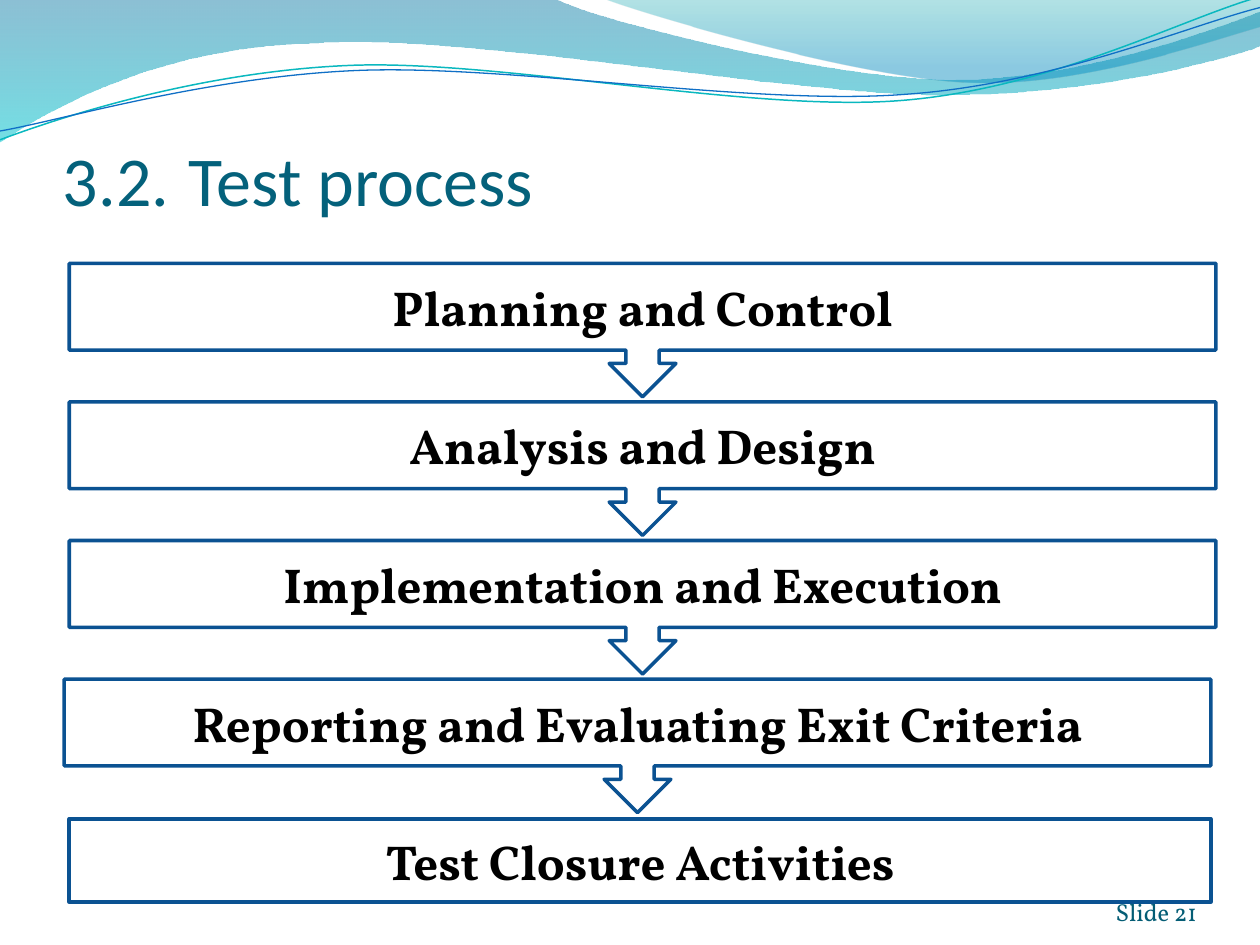
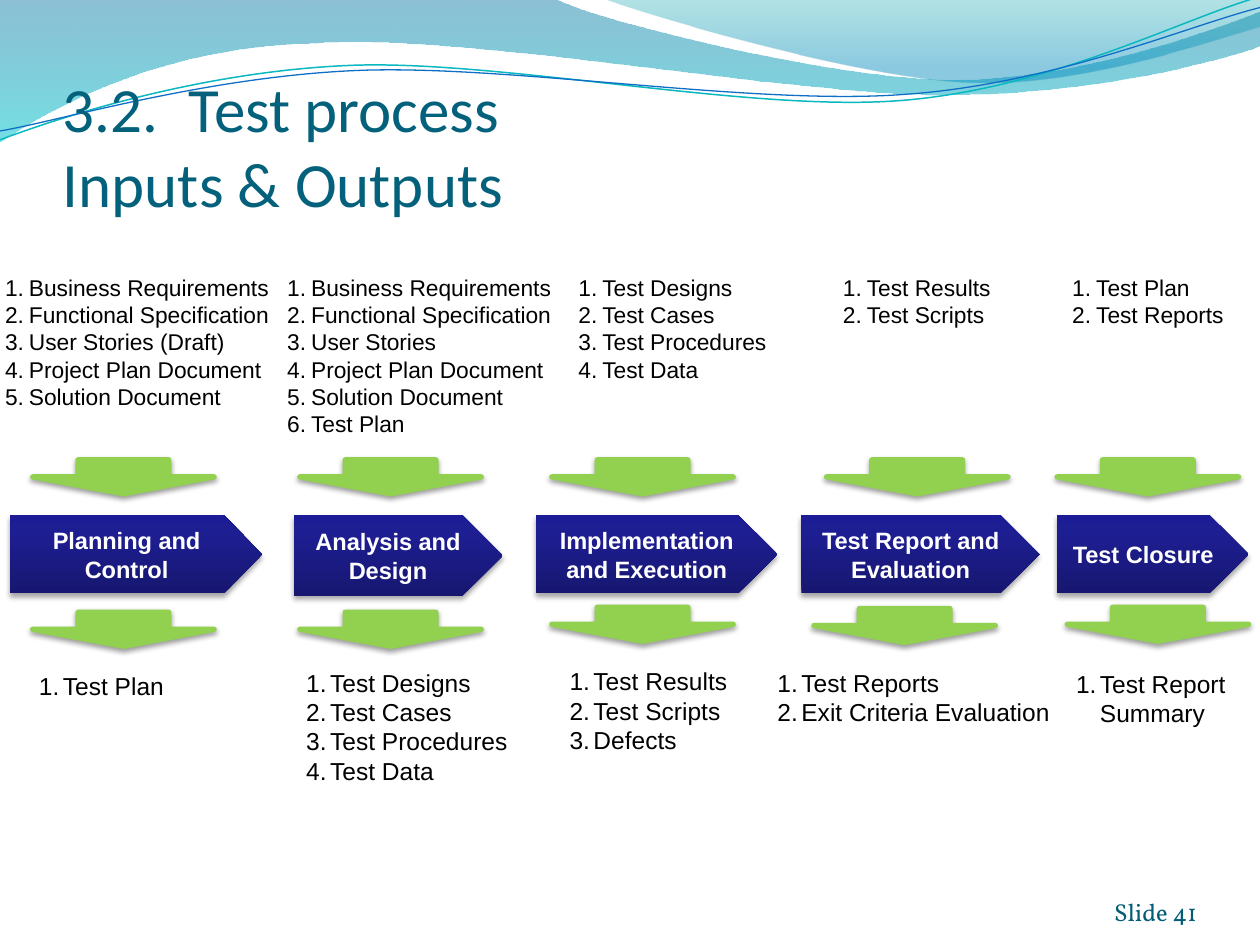
from lxml import etree
from pptx import Presentation
from pptx.dml.color import RGBColor
from pptx.enum import shapes, text
from pptx.oxml.ns import qn
from pptx.util import Inches, Pt

COLORS = {
    "title": "04617B", "footer": "045D75", "outline": "0B5292",
    "black": "000000", "white": "FFFFFF", "arrow": "92D050",
    "aqua line": "0AB8BF", "blue line": "0F6FC6",
}
# Gradient stops: position, colour, opacity (all in percent)
LEFT_WAVE = [(0, "0074A1", 45), (100, "00C6CF", 55)]
RIGHT_WAVE = [(0, "00A1A9", 30), (80, "008BBF", 45)]
NAVY = [(0, "171771", 100), (80, "1E1E93", 100), (100, "1C1C96", 100)]

TITLE = {"name": "Calibri", "color": "title"}
FOOTER = {"name": "Vollkorn", "size": Pt(14), "color": "footer"}
STEP = {"name": "Vollkorn", "size": Pt(28), "bold": True, "color": "black"}
STAGE = {"name": "Arial", "size": Pt(13.5), "bold": True, "color": "white"}
INPUT = {"name": "Arial", "size": Pt(13), "color": "black"}
OUTPUT = {"name": "Arial", "size": Pt(14), "color": "black"}

# Wave outlines: a pair is a straight step, six numbers are a Bezier curve
WAVES = [
    ([(0, 0), (4.4, -0.01), (4.76, 0.17, 6.64, 0.63, 7.58, 0.63),
      (8.53, 0.63, 9.58, 0.26, 10, 0.09), (10.01, 0.36),
      (9.83, 0.44, 8.7, 0.76, 7.46, 0.75), (6.22, 0.75, 3.82, 0.28, 2.57, 0.34),
      (1.29, 0.36, 0.46, 0.83, -0.01, 1.13)], LEFT_WAVE),
    ([(4.79, -0.01), (5.09, 0.11, 6.82, 0.62, 7.69, 0.65),
      (8.56, 0.69, 9.61, 0.32, 10, 0.21), (10, 0)], RIGHT_WAVE),
]
WAVE_LINES = [
    ([(0, 1.11), (0.48, 0.93, 1.58, 0.57, 2.77, 0.52),
      (3.95, 0.47, 5.93, 0.89, 7.13, 0.8), (8.33, 0.71, 9.38, 0.15, 9.98, -0.02)],
     "aqua line", 0.85),
    ([(0, 1.04), (0.47, 0.96, 1.64, 0.61, 2.83, 0.56),
      (4.03, 0.51, 5.97, 0.84, 7.17, 0.75), (8.36, 0.67, 9.41, 0.21, 10, 0.06)],
     "blue line", 0.75),
]

STEPS = [("Planning and Control", 0.55), ("Analysis and Design", 0.55),
         ("Implementation and Execution", 0.55),
         ("Reporting and Evaluating Exit Criteria", 0.51)]

# Each list: left, top, width, height, extra indent, items
STAGES = [
    {"name": "Planning and Control", "plate": (0.08, 2, 0.62), "point": 0.483,
     "arrows": [(0.26, 3.65), (0.26, 4.86)],
     "inputs": (-0.08, 2.12, 2.33, 1.19, 0, [
         "Business Requirements", "Functional Specification",
         "User Stories (Draft)", "Project Plan Document", "Solution Document"]),
     "outputs": (0.08, 5.28, 1.44, 0.57, 0.11, ["Test Plan"])},
    {"name": "Analysis and Design", "plate": (2.33, 1.66, 0.64), "point": 0.5,
     "arrows": [(2.38, 3.65), (2.38, 4.86)],
     "inputs": (2.07, 2.12, 2.5, 1.41, 0.09, [
         "Business Requirements", "Functional Specification", "User Stories",
         "Project Plan Document", "Solution Document", "Test Plan"]),
     "outputs": (2.28, 5.25, 1.89, 1.04, 0.03, [
         "Test Designs", "Test Cases", "Test Procedures", "Test Data"])},
    {"name": "Implementation and Execution", "plate": (4.25, 1.92, 0.62), "point": 0.5,
     "arrows": [(4.38, 3.65), (4.38, 4.82)],
     "inputs": (4.47, 2.12, 1.72, 0.98, 0, [
         "Test Designs", "Test Cases", "Test Procedures", "Test Data"]),
     "outputs": (4.33, 5.24, 1.62, 0.81, 0.07, [
         "Test Results", "Test Scripts", "Defects"])},
    {"name": "Test Report and Evaluation", "plate": (6.36, 1.89, 0.62), "point": 0.5,
     "arrows": [(6.56, 3.65), (6.46, 4.83)],
     "inputs": (6.57, 2.12, 1.42, 0.54, 0, ["Test Results", "Test Scripts"]),
     "outputs": (6.02, 5.25, 2.52, 0.57, 0.03, [
         "Test Reports", "Exit Criteria Evaluation"])},
    {"name": "Test Closure", "plate": (8.39, 1.52, 0.62), "point": 0.5,
     "arrows": [(8.39, 3.65), (8.47, 4.82)],
     "inputs": (8.39, 2.12, 1.44, 0.54, 0, ["Test Plan", "Test Reports"]),
     "outputs": (8.42, 5.26, 1.44, 0.57, 0, ["Test Report Summary"])},
]


def rgb(name):
    return RGBColor.from_string(COLORS[name])


def write(para, words, style, align=text.PP_ALIGN.LEFT):
    para.text = words
    para.alignment = align
    for span in para.runs:
        for key, value in style.items():
            if key == "color":
                span.font.color.rgb = rgb(value)
            else:
                setattr(span.font, key, value)


def add_text_box(page, at, insets, anchor):
    box = page.shapes.add_textbox(*map(Inches, at))
    frame = box.text_frame
    frame.word_wrap = True
    frame.vertical_anchor = anchor
    for side, inset in zip(("left", "top", "right", "bottom"), insets):
        setattr(frame, f"margin_{side}", Inches(inset))
    return frame


def set_line(shape, color, width):
    shape.line.color.rgb = rgb(color)
    shape.line.width = Pt(width)


def set_gradient(shape, stops, angle):
    shape.fill.gradient()
    shape.fill.gradient_angle = -angle % 360
    stop_list = shape._element.spPr.find(qn("a:gradFill")).find(qn("a:gsLst"))
    for old in list(stop_list):
        stop_list.remove(old)
    for position, color, opacity in stops:
        stop = etree.SubElement(stop_list, qn("a:gs"), pos=str(position * 1000))
        tone = etree.SubElement(stop, qn("a:srgbClr"), val=color)
        etree.SubElement(tone, qn("a:alpha"), val=str(opacity * 1000))


def set_shadow(shape, opacity, blur, distance):
    effects = shape._element.spPr.find(qn("a:effectLst"))
    shadow = etree.SubElement(
        effects, qn("a:outerShdw"), blurRad=str(Pt(blur)), dist=str(Pt(distance)),
        dir="5400000", algn="t", rotWithShape="0")
    tone = etree.SubElement(shadow, qn("a:srgbClr"), val=COLORS["black"])
    etree.SubElement(tone, qn("a:alpha"), val=str(opacity * 1000))


def add_shape(page, kind, at):
    shape = page.shapes.add_shape(kind, *map(Inches, at))
    shape.shadow.inherit = False
    return shape


def add_outline(page, outline, close):
    """Draw straight segments, then bend those that have control points."""
    ends = [tuple(map(Inches, part[-2:])) for part in outline]
    builder = page.shapes.build_freeform(*ends[0], scale=1.0)
    builder.add_line_segments(ends[1:], close=close)
    shape = builder.convert_to_shape()
    shape.shadow.inherit = False
    segments = list(shape._element.spPr.iter(qn("a:lnTo")))
    for segment, part in zip(segments, outline[1:]):
        if len(part) == 6:
            segment.tag = qn("a:cubicBezTo")
            for index in (0, 1):
                x, y = map(Inches, part[2 * index:2 * index + 2])
                control = etree.Element(qn("a:pt"), x=str(x - shape.left),
                                        y=str(y - shape.top))
                segment.insert(index, control)
    return shape


def add_page(deck, title, size, number):
    page = deck.slides.add_slide(deck.slide_layouts[6])
    # Wave band
    for outline, stops in WAVES:
        wave = add_outline(page, outline, True)
        set_gradient(wave, stops, 90)
        wave.line.fill.background()
    for outline, color, width in WAVE_LINES:
        curve = add_outline(page, outline, False)
        curve.fill.background()
        set_line(curve, color, width)
    # Title and footer
    frame = add_text_box(page, (0.5, 0.5, 9.17, 1.25), (0, 0.05, 0, 0),
                         text.MSO_ANCHOR.BOTTOM)
    write(frame.paragraphs[0], title, {**TITLE, "size": Pt(size)})
    frame = add_text_box(page, (8.67, 6.95, 0.83, 0.4), (0, 0, 0, 0),
                         text.MSO_ANCHOR.BOTTOM)
    write(frame.paragraphs[0], f"Slide {number}", FOOTER, text.PP_ALIGN.RIGHT)
    return page


def add_step(page, kind, words, at):
    step = add_shape(page, kind, at)
    step.fill.background()
    set_line(step, "outline", 2)
    step.text_frame.vertical_anchor = text.MSO_ANCHOR.MIDDLE
    write(step.text_frame.paragraphs[0], words, STEP, text.PP_ALIGN.CENTER)


def add_plate(page, words, place, point):
    left, width, height = place
    plate = add_shape(page, shapes.MSO_SHAPE.PENTAGON, (left, 4.09, width, height))
    plate.adjustments[0] = point
    set_gradient(plate, NAVY, 270)
    plate.line.fill.background()
    set_shadow(plate, 35, 3.1, 1.8)
    plate.text_frame.vertical_anchor = text.MSO_ANCHOR.MIDDLE
    write(plate.text_frame.paragraphs[0], words, STAGE, text.PP_ALIGN.CENTER)


def add_flow_arrow(page, left, top):
    arrow = add_shape(page, shapes.MSO_SHAPE.DOWN_ARROW, (left, top, 1.44, 0.27))
    arrow.fill.solid()
    arrow.fill.fore_color.rgb = rgb("arrow")
    set_line(arrow, "arrow", 3)
    set_shadow(arrow, 38, 3.1, 1.6)


def add_numbered_list(page, left, top, width, height, indent, items, style):
    frame = add_text_box(page, (left, top, width, height),
                         (0.12 + indent, 0.05, 0, 0.05), text.MSO_ANCHOR.TOP)
    for index, item in enumerate(items):
        para = frame.add_paragraph() if index else frame.paragraphs[0]
        write(para, item, style)
        props = para._p.get_or_add_pPr()
        props.set("marL", str(Inches(0.19)))
        props.set("indent", str(Inches(-0.19)))
        etree.SubElement(props, qn("a:buFont"), typeface="+mj-lt")
        etree.SubElement(props, qn("a:buAutoNum"), type="arabicPeriod")


def main():
    deck = Presentation()
    deck.slide_width, deck.slide_height = Inches(10), Inches(7.5)

    # Process steps
    page = add_page(deck, "3.2.\tTest process", 40, 21)
    for index, (words, left) in enumerate(STEPS):
        add_step(page, shapes.MSO_SHAPE.DOWN_ARROW_CALLOUT, words,
                 (left, 2.09 + 1.1 * index, 9.1, 1.06))
    add_step(page, shapes.MSO_SHAPE.RECTANGLE, "Test Closure Activities",
             (0.55, 6.5, 9.06, 0.66))

    # Inputs and outputs of each stage
    page = add_page(deck, "3.2. \tTest process\vInputs & Outputs", 36, 41)
    for stage in STAGES:
        add_plate(page, stage["name"], stage["plate"], stage["point"])
        add_numbered_list(page, *stage["inputs"], INPUT)
        add_numbered_list(page, *stage["outputs"], OUTPUT)
        for left, top in stage["arrows"]:
            add_flow_arrow(page, left, top)

    deck.save("out.pptx")


if __name__ == "__main__":
    main()
